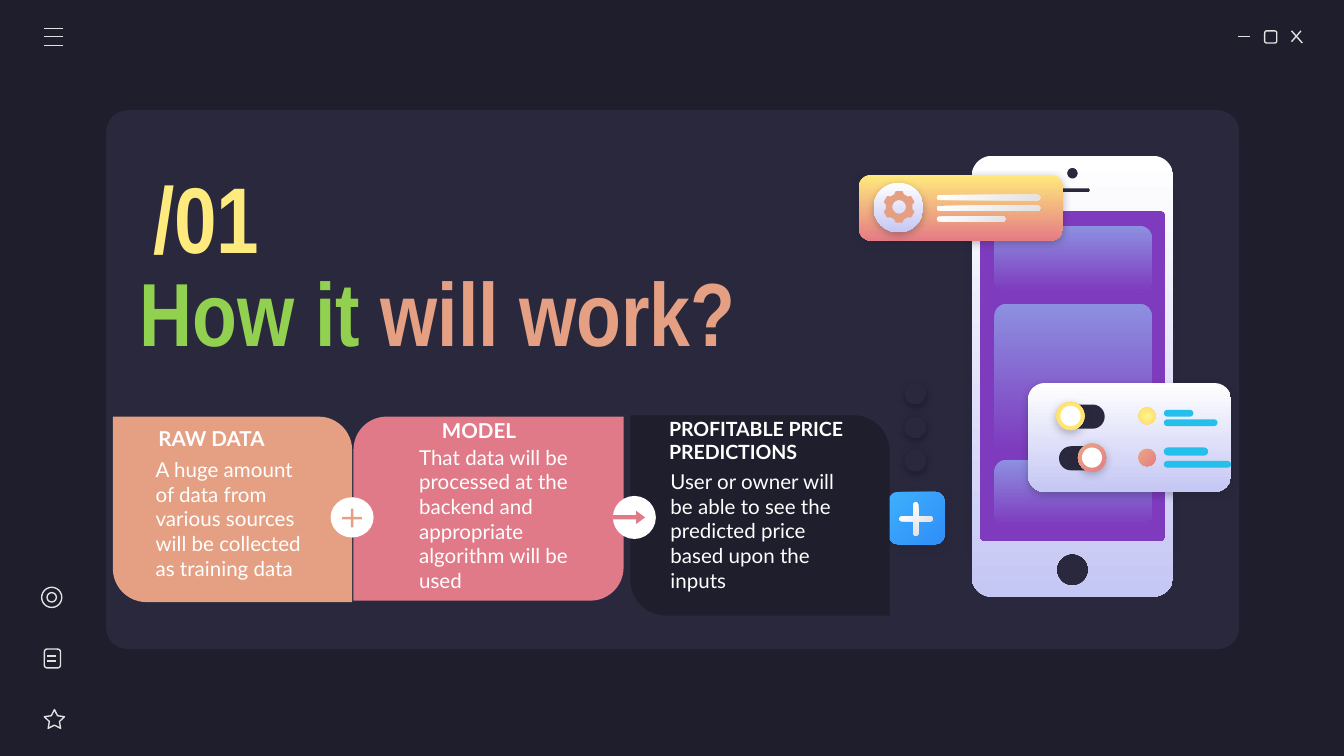
from dataclasses import dataclass
from math import cos, radians, sin

from lxml.etree import SubElement
from pptx import Presentation
from pptx.dml.color import RGBColor
from pptx.enum.shapes import MSO_CONNECTOR as Connector, MSO_SHAPE as Shape
from pptx.enum.text import MSO_ANCHOR as Anchor, MSO_AUTO_SIZE as AutoSize, PP_ALIGN as Align
from pptx.oxml.ns import qn
from pptx.util import Cm, Pt


@dataclass(frozen=True)
class Theme:
    night: str = "1E1E2C"
    panel: str = "29283D"
    white: str = "FFFFFF"
    icon: str = "E2E2E2"
    yellow: str = "FFEA7D"
    green: str = "92D050"
    peach: str = "E5A083"
    rose: str = "E07A88"
    purple: str = "7E3BBE"
    cyan: str = "24BFEB"
    black: str = "000000"
    tile: tuple = ("8D90E1", "7E3BBE", 90)
    pale: tuple = ("FFFFFF", "C5C7F4", 90)
    silver: tuple = ("FFFFFF", "E2E2E2", 45)
    sunset: tuple = ("FFEA7D", "E57C85", 90)
    coral: tuple = ("E9A984", "E57C85", 45)
    sun: tuple = ("FFF68E", "FFD966", None)
    blue: tuple = ("3DB0FD", "308EF7", 45)
    heading_font: str = "Arial Narrow"
    body_font: str = "Lato"
    number_size: float = 50
    heading_size: float = 48
    body_size: float = 11
    small_size: float = 10.5
    icon_line: float = 0.75


def inches(value):
    return Cm(value * 2.54)


def add_span(para, text, *, font, size, color, bold=False):
    span = para.add_run()
    span.text = text
    span.font.name = font
    span.font.size = Pt(size)
    span.font.bold = bold
    span.font.color.rgb = RGBColor.from_string(color)


def rounded_outline(x, y, w, h, radius):
    corners = ((x + w - radius, y + h - radius, 0), (x + radius, y + h - radius, 90),
               (x + radius, y + radius, 180), (x + w - radius, y + radius, 270))
    return [(cx + radius * cos(radians(start + step)), cy + radius * sin(radians(start + step)))
            for cx, cy, start in corners for step in range(0, 91, 9)]


def gear_outline(cx, cy, teeth=6):
    profile = ((0.1, -21), (0.12, -12), (0.12, 12), (0.1, 21))
    return [(cx + radius * sin(radians(tooth * 360 / teeth + angle)),
             cy - radius * cos(radians(tooth * 360 / teeth + angle)))
            for tooth in range(teeth) for radius, angle in profile]


class SlideBuilder:
    def __init__(self, page, theme):
        self.page = page
        self.theme = theme
        page.background.fill.solid()
        page.background.fill.fore_color.rgb = RGBColor.from_string(theme.night)

    def paint(self, shape, fill, outline=None, shadow=None):
        shape.shadow.inherit = False
        if fill is None:
            shape.fill.background()
        elif isinstance(fill, str):
            shape.fill.solid()
            shape.fill.fore_color.rgb = RGBColor.from_string(fill)
        else:
            *colors, angle = fill
            shape.fill.gradient()
            for stop, color in zip(shape.fill.gradient_stops, colors):
                stop.color.rgb = RGBColor.from_string(color)
            if angle is None:
                gradient = shape._element.spPr.find(qn("a:gradFill"))
                gradient.remove(gradient.find(qn("a:lin")))
                circle = SubElement(gradient, qn("a:path"), path="circle")
                SubElement(circle, qn("a:fillToRect"), l="50000", t="50000", r="50000", b="50000")
            else:
                shape.fill.gradient_angle = 360 - angle
        if outline:
            shape.line.color.rgb = RGBColor.from_string(outline)
            shape.line.width = Pt(self.theme.icon_line)
        else:
            shape.line.fill.background()
        if shadow:
            effects = shape._element.spPr.find(qn("a:effectLst"))
            outer = SubElement(effects, qn("a:outerShdw"), blurRad=str(Pt(4.5)), dist=str(Pt(1.5)),
                               dir="5400000", algn="bl", rotWithShape="0")
            color = SubElement(outer, qn("a:srgbClr"), val=shadow)
            SubElement(color, qn("a:alpha"), val="30000")

    def shape(self, kind, x, y, w, h, fill=None, *, adjust=(), turn=0, **style):
        shape = self.page.shapes.add_shape(kind, *map(inches, (x, y, w, h)))
        for index, value in enumerate(adjust):
            shape.adjustments[index] = value
        shape.rotation = turn
        self.paint(shape, fill, **style)

    def rounded(self, x, y, w, h, fill=None, corner=0.5, **style):
        self.shape(Shape.ROUNDED_RECTANGLE, x, y, w, h, fill, adjust=(corner,), **style)

    def circle(self, x, y, size, fill=None, **style):
        self.shape(Shape.OVAL, x, y, size, size, fill, **style)

    def freeform(self, outlines, fill):
        first, *holes = [[(inches(x), inches(y)) for x, y in outline] for outline in outlines]
        builder = self.page.shapes.build_freeform(*first[0])
        builder.add_line_segments(first[1:], close=True)
        for hole in holes:
            builder.move_to(*hole[0])
            builder.add_line_segments(hole[1:], close=True)
        self.paint(builder.convert_to_shape(), fill)

    def line(self, x1, y1, x2, y2):
        line = self.page.shapes.add_connector(Connector.STRAIGHT, *map(inches, (x1, y1, x2, y2)))
        line.line.color.rgb = RGBColor.from_string(self.theme.icon)
        line.line.width = Pt(self.theme.icon_line)
        SubElement(line._element.spPr, qn("a:effectLst"))

    def frame(self, box, inset, anchor=Anchor.TOP):
        frame = box.text_frame
        frame.word_wrap = True
        frame.auto_size = AutoSize.NONE
        frame.vertical_anchor = anchor
        frame.margin_left = frame.margin_right = inches(inset)
        frame.margin_top = frame.margin_bottom = inches(inset)
        para = frame.paragraphs[0]
        para.alignment = Align.LEFT
        return para

    def text(self, x, y, w, h, text, *, anchor=Anchor.TOP, after=0, **style):
        box = self.page.shapes.add_textbox(*map(inches, (x, y, w, h)))
        para = self.frame(box, 0.1, anchor)
        para.space_after = Pt(after)
        add_span(para, text, **style)

    def title(self, x, y, w, h, spans):
        box = self.page.shapes.title
        box.left, box.top, box.width, box.height = map(inches, (x, y, w, h))
        box._element.getparent().append(box._element)
        para = self.frame(box, 0)
        para.line_spacing = 0.8
        for text, color in spans:
            add_span(para, text, font=self.theme.heading_font, size=self.theme.heading_size,
                     color=color, bold=True)

    def step(self, card, fill, corners, head, head_at, body, body_at, head_size):
        self.shape(Shape.ROUND_2_DIAG_RECTANGLE, *card, fill, adjust=corners)
        style = dict(font=self.theme.body_font, color=self.theme.white)
        self.text(*head_at, head, size=head_size, bold=True, **style)
        self.text(*body_at, body, size=self.theme.body_size, after=16, **style)


def draw_icons(builder, theme):
    builder.line(9.21, 0.27, 9.3, 0.27)
    builder.rounded(9.41, 0.23, 0.09, 0.09, corner=0.17, outline=theme.icon)
    builder.line(9.61, 0.23, 9.69, 0.32)
    builder.line(9.68, 0.23, 9.61, 0.31)
    for y in (0.21, 0.34, 0.27):
        builder.line(0.33, y, 0.47, y)
    builder.shape(Shape.STAR_5_POINT, 0.33, 5.28, 0.15, 0.14, adjust=(0.25,), outline=theme.icon)
    builder.rounded(0.33, 4.83, 0.12, 0.14, corner=0.17, outline=theme.icon)
    for y in (4.88, 4.92):
        builder.line(0.35, y, 0.42, y)
    builder.circle(0.31, 4.37, 0.15, outline=theme.icon)
    builder.circle(0.35, 4.41, 0.07, outline=theme.icon)


def draw_phone(builder, theme):
    builder.rounded(7.25, 1.46, 1.46, 2.63, theme.purple, corner=0, shadow=theme.night)
    for y, height in ((1.68, 0.49), (2.26, 1.09), (3.42, 0.49)):
        builder.rounded(7.4, y, 1.17, height, theme.tile, corner=0.09 / height)
    body = (7.23, 1.16, 1.5, 3.28, 0.15)
    camera = (7.94, 1.25, 0.08, 0.08, 0.04)
    speaker = (7.86, 1.4, 0.25, 0.03, 0.01)
    screen = (7.29, 1.57, 1.38, 2.46, 0.03)
    button = (7.86, 4.12, 0.24, 0.24, 0.12)
    builder.freeform([rounded_outline(*part) for part in (body, camera, speaker, screen, button)],
                     theme.pale)

    builder.rounded(6.39, 1.3, 1.52, 0.49, theme.sunset, corner=0.19, shadow=theme.night)
    builder.circle(6.5, 1.36, 0.37, theme.pale, shadow=theme.night)
    builder.freeform([gear_outline(6.69, 1.54), rounded_outline(6.64, 1.49, 0.1, 0.1, 0.05)], theme.peach)
    for y, width in ((1.45, 0.77), (1.53, 0.77), (1.61, 0.51)):
        builder.rounded(6.97, y, width, 0.04, theme.silver)

    builder.rounded(7.65, 2.85, 1.51, 0.81, theme.pale, corner=0.15, shadow=theme.night)
    for y, knob_x, color in ((2.99, 7.86, theme.sun), (3.3, 8.02, theme.coral)):
        builder.rounded(7.88, y + 0.02, 0.34, 0.18, theme.panel)
        builder.circle(knob_x, y, 0.21, color, shadow=theme.night)
        builder.circle(knob_x + 0.03, y + 0.03, 0.15, theme.white)
        builder.circle(8.47, y + 0.04, 0.13, color)
    for y, width, height in ((3.05, 0.22, 0.05), (3.33, 0.33, 0.06), (3.12, 0.4, 0.05), (3.43, 0.5, 0.05)):
        builder.rounded(8.66, y, width, height, theme.cyan)

    builder.rounded(6.61, 3.66, 0.42, 0.39, theme.blue, corner=0.18, shadow=theme.night)
    for turn in (0, 90):
        builder.rounded(6.69, 3.84, 0.25, 0.04, theme.silver, turn=turn)
    for y in (3.35, 3.1, 2.85):
        builder.circle(6.73, y, 0.16, theme.panel, shadow=theme.black)


def main():
    theme = Theme()
    deck = Presentation()
    deck.slide_width = Cm(25.4)
    deck.slide_height = deck.slide_width * 9 // 16
    builder = SlideBuilder(deck.slides.add_slide(deck.slide_layouts[5]), theme)

    builder.rounded(0.79, 0.82, 8.43, 4.01, theme.panel, corner=0.04)
    draw_icons(builder, theme)
    builder.step((2.63, 3.1, 2.01, 1.37), theme.rose, (0.18, 0), "MODEL", (3.19, 3.01, 1.5, 0.4),
                 "That data will be processed at the backend and appropriate algorithm will be used",
                 (3.02, 3.21, 1.5, 1.37), theme.body_size)
    builder.text(1.04, 1.15, 1.78, 0.92, "/01", anchor=Anchor.MIDDLE, font=theme.heading_font,
                 size=theme.number_size, color=theme.yellow, bold=True)
    draw_phone(builder, theme)
    builder.title(1.04, 2.07, 4.72, 1.09, (("How it ", theme.green), ("will work?", theme.peach)))
    builder.step((0.84, 3.1, 1.78, 1.38), theme.peach, (0, 0.18), "RAW DATA", (1.08, 3.07, 1.33, 0.4),
                 "A huge amount of data from various sources will be collected as training data",
                 (1.06, 3.3, 1.33, 1.18), theme.body_size)
    builder.shape(Shape.OVAL, 2.46, 3.7, 0.32, 0.3, theme.white)
    builder.shape(Shape.MATH_PLUS, 2.52, 3.76, 0.2, 0.19, theme.peach, adjust=(0.1,))
    builder.step((4.69, 3.09, 1.93, 1.49), theme.night, (0, 0.18),
                 "PROFITABLE PRICE PREDICTIONS", (4.88, 3, 1.56, 0.44),
                 "User or owner will be able to see the predicted price based upon the inputs",
                 (4.89, 3.39, 1.56, 1.16), theme.small_size)
    builder.circle(4.56, 3.69, 0.32, theme.white)
    builder.shape(Shape.RIGHT_ARROW, 4.56, 3.8, 0.24, 0.1, theme.rose, adjust=(0.32, 0.67))
    deck.save("out.pptx")


if __name__ == "__main__":
    main()
